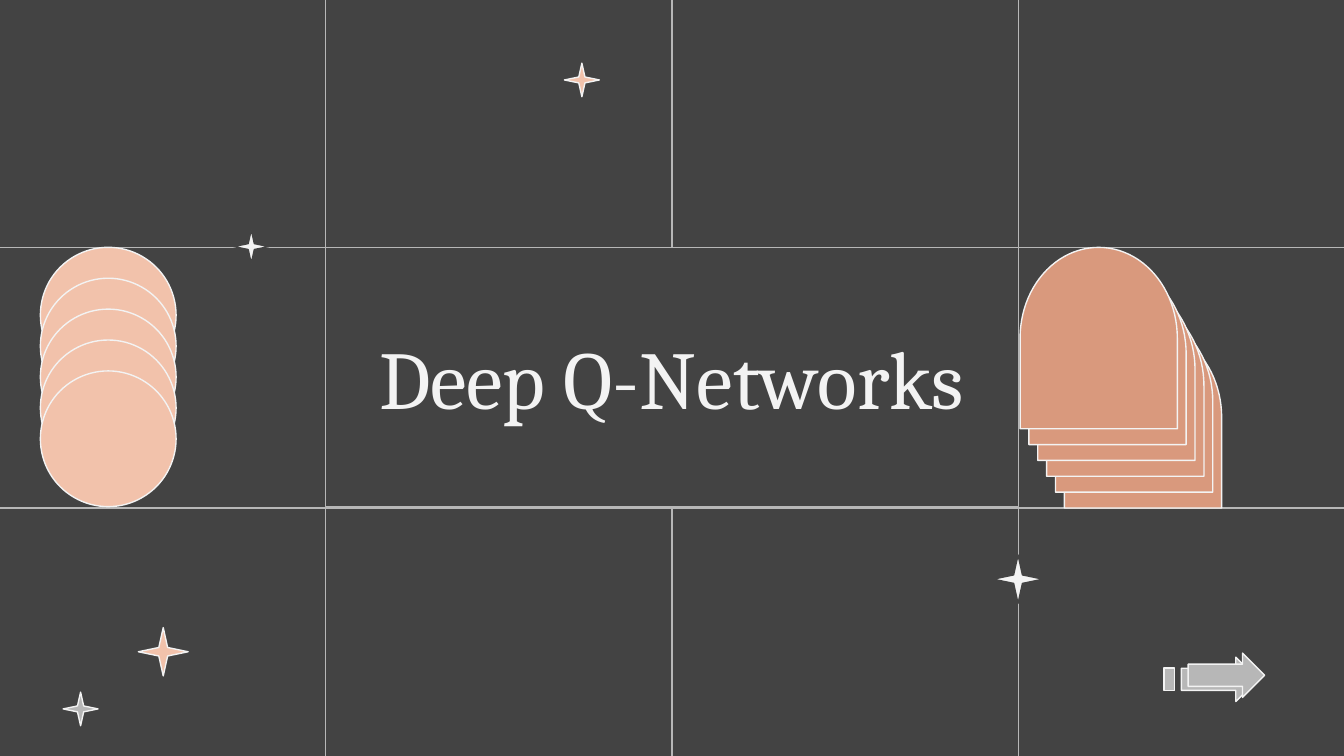
from lxml.etree import SubElement
from pptx import Presentation
from pptx.dml.color import RGBColor
from pptx.enum.shapes import MSO_CONNECTOR, MSO_SHAPE
from pptx.enum.text import MSO_ANCHOR, PP_ALIGN
from pptx.oxml.ns import qn
from pptx.util import Inches, Pt

CHARCOAL = RGBColor(0x43, 0x43, 0x43)
GRAY = RGBColor(0xB7, 0xB7, 0xB7)
OFF_WHITE = RGBColor(0xF3, 0xF3, 0xF3)
PEACH = RGBColor(0xF2, 0xC2, 0xAB)
TERRACOTTA = RGBColor(0xD9, 0x99, 0x7D)

# Slide size (16:9) and grid, in inches
WIDTH = 10
HEIGHT = WIDTH * 9 / 16
COLUMNS = (2.42, 5, 7.58)
ROWS = (1.84, 3.78)
LINE_WIDTH = Pt(0.75)


def paint(shape, fill, outline):
    shape.fill.solid()
    shape.fill.fore_color.rgb = fill
    shape.line.color.rgb = outline
    shape.line.width = LINE_WIDTH


def add_figure(slide, kind, box, fill, outline=OFF_WHITE, rotation=0):
    figure = slide.shapes.add_shape(kind, *map(Inches, box))
    figure.shadow.inherit = False
    figure.rotation = rotation
    paint(figure, fill, outline)
    return figure


def add_grid_line(slide, start, end):
    line = slide.shapes.add_connector(
        MSO_CONNECTOR.STRAIGHT, *map(Inches, start + end))
    line.line.color.rgb = GRAY
    line.line.width = LINE_WIDTH
    SubElement(line.element.spPr, qn("a:effectLst"))


def add_grid(slide):
    for x in COLUMNS:
        add_grid_line(slide, (x, -0.1), (x, HEIGHT + 0.11))
    for y in ROWS:
        add_grid_line(slide, (-0.17, y), (WIDTH + 0.16, y))


def add_star(slide, left, top, size, fill, outline=OFF_WHITE):
    box = (left, top, size, size - 0.01)
    star = add_figure(slide, MSO_SHAPE.STAR_4_POINT, box, fill, outline)
    star.adjustments[0] = 0.125


def add_arrow(slide):
    # Back arrow, tail block, then front arrow, all pointing right
    arrow_size = (0.33, 0.57)
    add_figure(slide, MSO_SHAPE.UP_ARROW, (8.91, 4.77, *arrow_size), GRAY,
               rotation=90)
    add_figure(slide, MSO_SHAPE.RECTANGLE, (8.66, 4.97, 0.08, 0.17), GRAY)
    add_figure(slide, MSO_SHAPE.UP_ARROW, (8.96, 4.74, *arrow_size), GRAY,
               rotation=90)


def add_title(slide, text):
    title = slide.shapes.title
    # The filled title covers the grid lines behind it
    slide.shapes.element.append(title.element)
    title.left, title.top = Inches(COLUMNS[0]), Inches(ROWS[0])
    title.width = Inches(COLUMNS[-1] - COLUMNS[0])
    title.height = Inches(1.93)
    paint(title, CHARCOAL, GRAY)
    frame = title.text_frame
    frame.text = text
    frame.word_wrap = True
    frame.vertical_anchor = MSO_ANCHOR.MIDDLE
    frame.margin_left = frame.margin_right = Inches(0.1)
    frame.margin_top = frame.margin_bottom = Inches(0.1)
    paragraph = frame.paragraphs[0]
    paragraph.alignment = PP_ALIGN.CENTER
    paragraph.font.name = "Cambria"
    paragraph.font.size = Pt(44)
    paragraph.font.color.rgb = OFF_WHITE


def add_arches(slide, count=6):
    # From the lowest arch at the back to the highest in front
    shift_x, shift_y = 0.33 / (count - 1), 0.59 / (count - 1)
    for step in reversed(range(count)):
        box = (7.5 + shift_x * step, 1.93 + shift_y * step, 1.35, 1.17)
        add_figure(slide, MSO_SHAPE.FLOWCHART_DELAY, box, TERRACOTTA,
                   rotation=270)


def add_circles(slide, count=5):
    for step in range(count):
        box = (0.3, ROWS[0] + 0.23 * step, 1.01, 1.01)
        add_figure(slide, MSO_SHAPE.OVAL, box, PEACH, rotation=90)


def main():
    deck = Presentation()
    deck.slide_width, deck.slide_height = Inches(WIDTH), Inches(HEIGHT)
    slide = deck.slides.add_slide(deck.slide_layouts[5])
    slide.background.fill.solid()
    slide.background.fill.fore_color.rgb = CHARCOAL

    # Backdrop
    add_grid(slide)
    add_star(slide, 1.03, 4.67, 0.37, PEACH)
    add_star(slide, 0.47, 5.15, 0.26, GRAY)
    add_arrow(slide)

    add_title(slide, "Deep Q-Networks")

    # Foreground decoration
    add_star(slide, 1.74, 1.71, 0.26, OFF_WHITE, CHARCOAL)
    add_star(slide, 7.39, 4.13, 0.37, OFF_WHITE, CHARCOAL)
    add_arches(slide)
    add_circles(slide)
    add_star(slide, 4.2, 0.47, 0.26, PEACH)

    deck.save("out.pptx")


if __name__ == "__main__":
    main()
